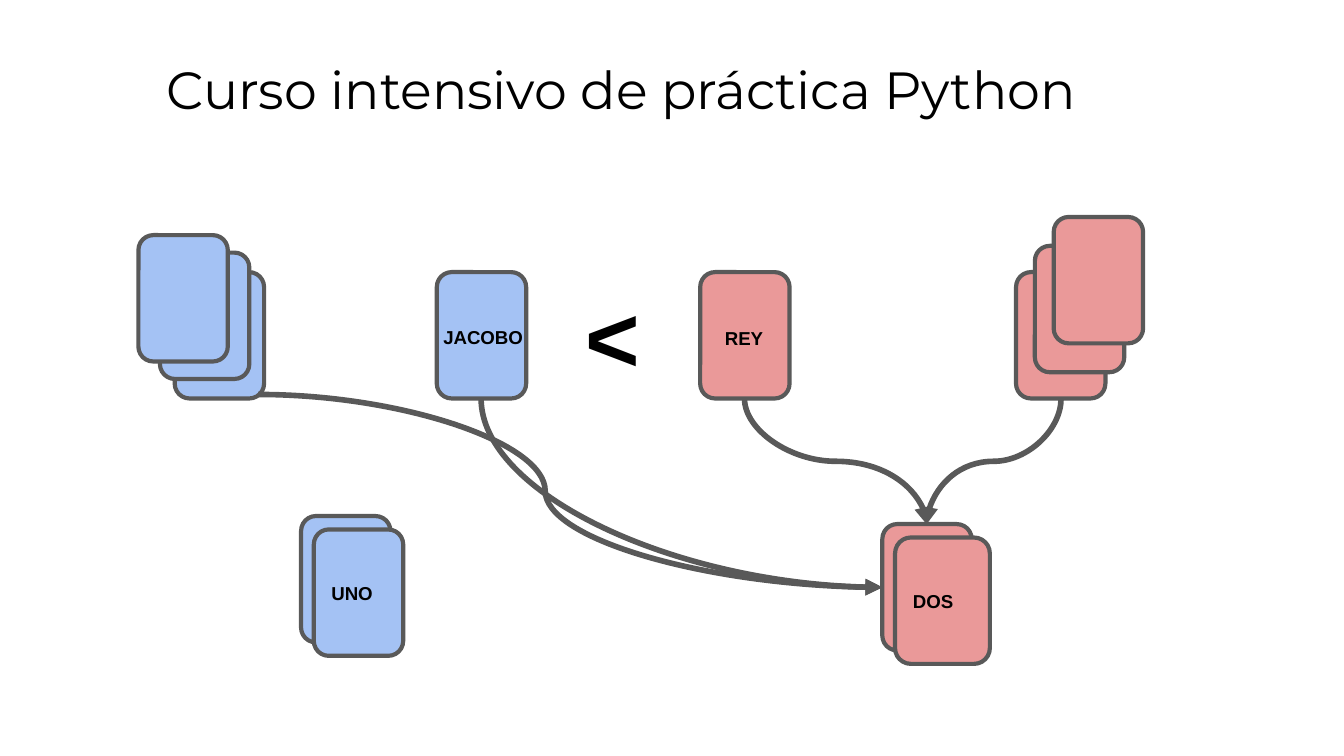
from lxml import etree
from pptx import Presentation
from pptx.dml.color import RGBColor
from pptx.enum.shapes import MSO_CONNECTOR, MSO_SHAPE
from pptx.enum.text import MSO_ANCHOR, PP_ALIGN
from pptx.oxml.ns import qn
from pptx.util import Inches, Pt

CURVE = MSO_CONNECTOR.CURVE
ROUND = MSO_SHAPE.ROUNDED_RECTANGLE
TOP, MIDDLE = MSO_ANCHOR.TOP, MSO_ANCHOR.MIDDLE
LEFT, CENTER = PP_ALIGN.LEFT, PP_ALIGN.CENTER

BLUE = RGBColor(0xA4, 0xC2, 0xF4)
RED = RGBColor(0xEA, 0x99, 0x99)
GRAY = RGBColor(0x59, 0x59, 0x59)
BLACK = RGBColor(0, 0, 0)

# The slide is a grid of 100 columns and 56.25 rows (16:9).
COLS, ROWS = 100, 56.25
CARD_W, CARD_H = 6.65, 9.4

TITLE = {"name": "Montserrat", "size": Pt(28), "bold": False}
LABEL = {"name": "Arial", "size": Pt(10), "bold": True}
SIGN = {"name": "Arial", "size": Pt(50), "bold": True}

# Cards of each pile from back to front: left, top, width, label
PILES = [
    (BLUE, [(13, 20.25, CARD_W, ""), (11.9, 18.8, CARD_W, ""),
            (10.3, 17.5, CARD_W, "")]),
    (BLUE, [(22.4, 38.4, CARD_W, ""), (23.35, 39.4, CARD_W, "UNO")]),
    (BLUE, [(32.5, 20.25, CARD_W, "")]),
    (RED, [(52.1, 20.25, CARD_W, "")]),
    (RED, [(75.6, 20.25, CARD_W, ""), (77, 18.3, CARD_W, ""),
           (78.4, 16.15, CARD_W, "")]),
    (RED, [(65.65, 39, CARD_W, ""), (66.6, 40, 7.05, "DOS")]),
]

# Text boxes: text, left, top, width, height, format, alignment
NOTES = [
    ("Curso intensivo de práctica Python", 11.4, 3.25, 85.2, 6.3, TITLE, LEFT),
    ("<", 40.15, 19.8, 10.9, 4.8, SIGN, CENTER),
    ("JACOBO", 32, 23.4, 10.9, 4.8, LABEL, LEFT),
    ("REY", 52.95, 23.45, 10.9, 4.8, LABEL, LEFT),
]

# Arrows: start, end, leaves downward, number of the curve preset, bend
DOS_SIDE, DOS_TOP = (65.65, 43.7), (68.95, 39)
ARROWS = [
    ((35.8, 29.65), DOS_SIDE, True, 2, None),
    ((19.2, 29.35), DOS_SIDE, False, 3, 0.46),
    ((55.4, 29.65), DOS_TOP, True, 3, 0.5),
    ((78.95, 29.65), DOS_TOP, True, 3, 0.5),
]


def cells(*counts):
    return [Inches(count / 10) for count in counts]


def write(shape, text, style, align=LEFT, anchor=TOP):
    frame = shape.text_frame
    frame.word_wrap = True
    frame.vertical_anchor = anchor
    for side in ("left", "right", "top", "bottom"):
        setattr(frame, f"margin_{side}", Inches(0.1))
    para = frame.paragraphs[0]
    para.alignment = align
    run = para.add_run()
    run.text = text
    for key, value in style.items():
        setattr(run.font, key, value)
    run.font.color.rgb = BLACK


def add_card(slide, fill, left, top, width, text):
    card = slide.shapes.add_shape(ROUND, *cells(left, top, width, CARD_H))
    card.shadow.inherit = False
    card.fill.solid()
    card.fill.fore_color.rgb = fill
    card.line.color.rgb = GRAY
    card.line.width = Pt(2.25)
    if text:
        write(card, text, LABEL, anchor=MIDDLE)


def add_note(slide, text, left, top, width, height, style, align):
    box = slide.shapes.add_textbox(*cells(left, top, width, height))
    write(box, text, style, align)


def add_arrow(slide, start, end, down, kind, bend):
    """Draw a curve; one that leaves downward is a box turned on its centre."""
    (x1, y1), (x2, y2) = start, end
    turn = 0
    if down:
        mid_x, mid_y = (x1 + x2) / 2, (y1 + y2) / 2
        half_w, half_h = (y2 - y1) / 2, abs(x2 - x1) / 2
        turn = 270 if x2 > x1 else 90
        if turn == 270:
            half_w = -half_w
        x1, x2 = mid_x - half_w, mid_x + half_w
        y1, y2 = mid_y - half_h, mid_y + half_h
    arrow = slide.shapes.add_connector(CURVE, *cells(x1, y1, x2, y2))
    arrow.line.color.rgb = GRAY
    arrow.line.width = Pt(3)
    props = arrow._element.spPr
    props.find(qn("a:xfrm")).set("rot", str(turn * 60000))
    shape = props.find(qn("a:prstGeom"))
    shape.set("prst", f"curvedConnector{kind}")
    if bend:
        guide = etree.SubElement(shape.find(qn("a:avLst")), qn("a:gd"))
        guide.set("name", "adj1")
        guide.set("fmla", f"val {round(bend * 100000)}")
    tail = etree.SubElement(props.find(qn("a:ln")), qn("a:tailEnd"))
    tail.set("type", "triangle")
    etree.SubElement(props, qn("a:effectLst"))


def main():
    deck = Presentation()
    deck.slide_width, deck.slide_height = cells(COLS, ROWS)
    slide = deck.slides.add_slide(deck.slide_layouts[6])
    for fill, cards in PILES:
        for card in cards:
            add_card(slide, fill, *card)
    for note in NOTES:
        add_note(slide, *note)
    for arrow in ARROWS:
        add_arrow(slide, *arrow)
    deck.save("out.pptx")


if __name__ == "__main__":
    main()
